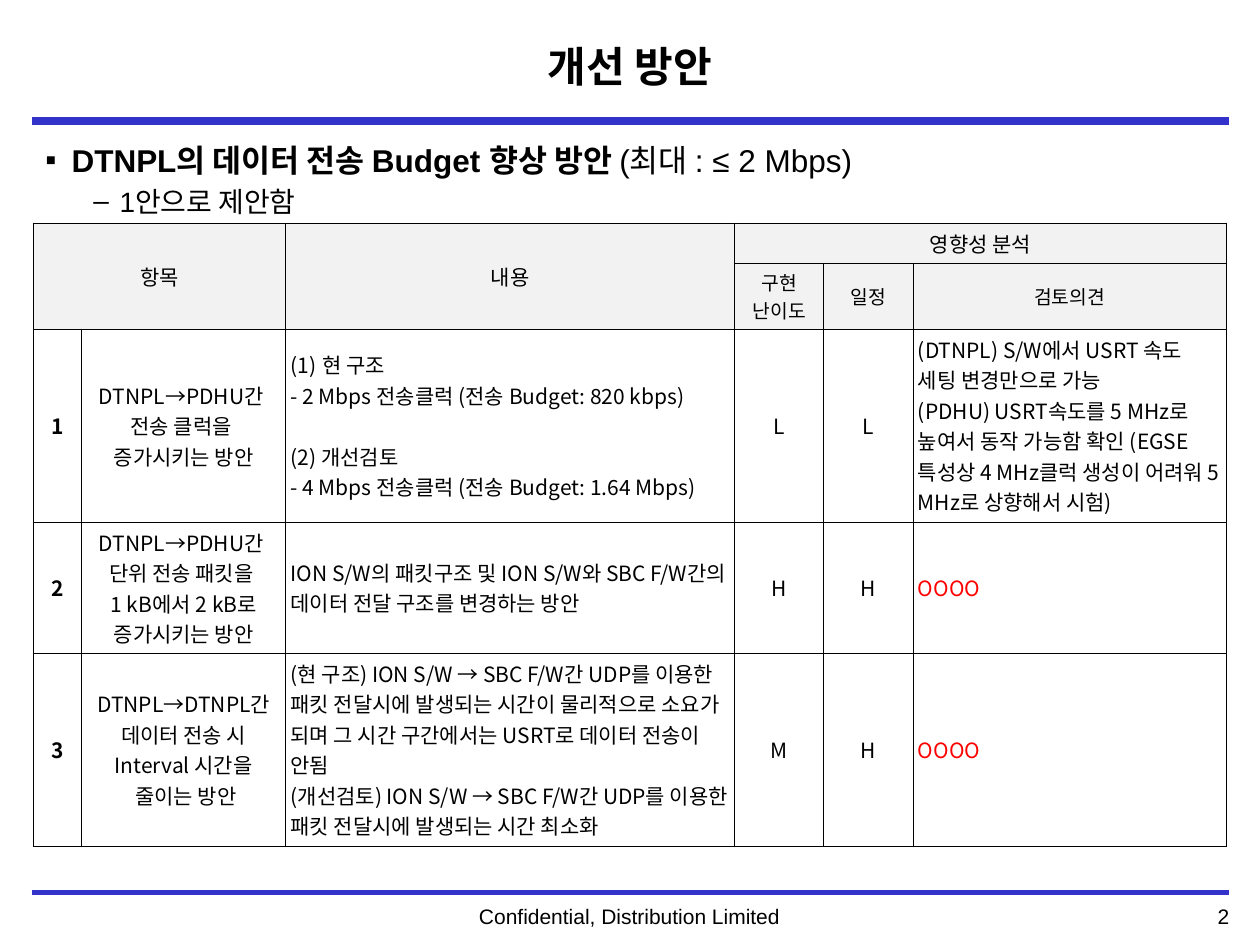
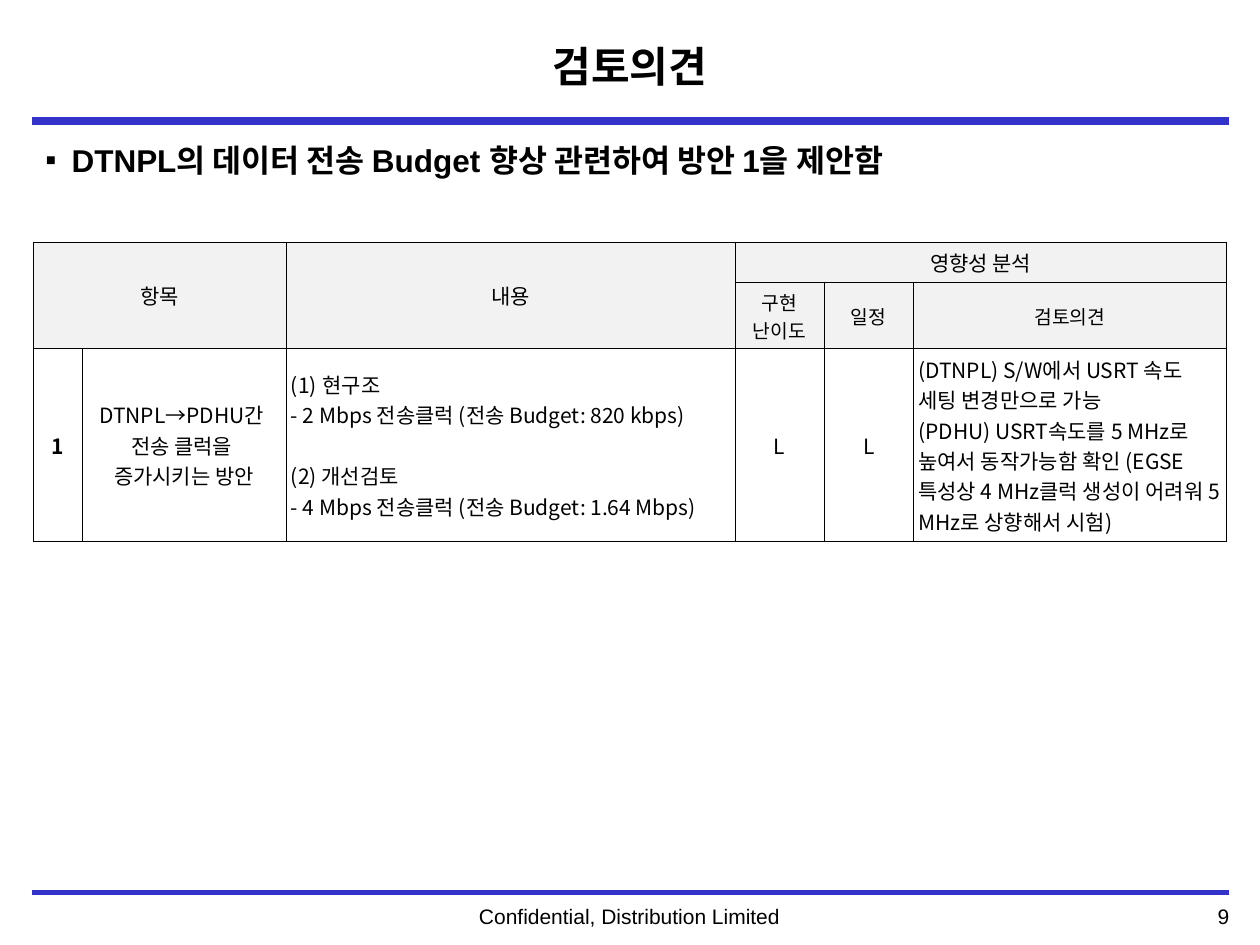
"""Builds two slides on improving the data transfer budget, each with a review table."""
from lxml import etree
from pptx import Presentation
from pptx.dml.color import RGBColor
from pptx.enum import shapes, text
from pptx.oxml.ns import qn
from pptx.util import Pt

BLUE = RGBColor(0x33, 0x33, 0xCC)
BLACK = RGBColor(0, 0, 0)
RED = RGBColor(0xFF, 0, 0)
GREY = RGBColor(0xF2, 0xF2, 0xF2)
LATIN, KOREAN = "Arial", "Noto Sans CJK KR"
LEFT, CENTER, RIGHT = text.PP_ALIGN.LEFT, text.PP_ALIGN.CENTER, text.PP_ALIGN.RIGHT

FOOTER = "Confidential, Distribution Limited"
RULES = [(69.1, 4.5), (509.8, 2), (510.5, 2)]
BULLETS = [("▪", 15), ("–", 42.5)]
HANG = 15
COL_WIDTHS = [27.7, 116.6, 256.5, 51, 51, 178.9]
CENTERED_COLS = {0, 1, 3, 4}
HEADER_HEIGHTS = [23, 37.6]
HEADERS = [
    ["항목", "", "내용", "영향성 분석", "", ""],
    ["", "", "", "구현\n난이도", "일정", "검토의견"],
]
MERGES = [((0, 0), (1, 1)), ((0, 2), (1, 2)), ((0, 3), (0, 5))]
NUMBERED, GAP_BEFORE = "(1) ", "(2)"


def clock_row(structure, works):
    """Return the row on a faster transfer clock."""
    return ["1", "DTNPL→PDHU간 \n전송 클럭을 \n증가시키는 방안",
            f"(1) {structure}\n- 2 Mbps 전송클럭 (전송 Budget: 820 kbps)\n"
            "(2) 개선검토\n- 4 Mbps 전송클럭 (전송 Budget: 1.64 Mbps)",
            "L", "L",
            "(DTNPL) S/W에서 USRT 속도 세팅 변경만으로 가능\n"
            f"(PDHU) USRT속도를 5 MHz로 높여서 {works} 확인 "
            "(EGSE 특성상 4 MHz클럭 생성이 어려워 5 MHz로 상향해서 시험)"]


PACKET_ROW = ["2", "DTNPL→PDHU간 \n단위 전송 패킷을 \n1 kB에서 2 kB로\n증가시키는 방안",
              "ION S/W의 패킷구조 및 ION S/W와 SBC F/W간의 데이터 전달 구조를 변경하는 방안",
              "H", "H", "OOOO"]
INTERVAL_ROW = ["3", "DTNPL→DTNPL간\n데이터 전송 시\nInterval 시간을\n 줄이는 방안",
                "(현 구조) ION S/W → SBC F/W간 UDP를 이용한 패킷 전달시에 발생되는 시간이 "
                "물리적으로 소요가 되며 그 시간 구간에서는 USRT로 데이터 전송이 안됨\n"
                "(개선검토) ION S/W → SBC F/W간 UDP를 이용한 패킷 전달시에 발생되는 시간 최소화",
                "M", "H", "OOOO"]

SLIDES = [
    {"title": "개선 방안", "number": "2", "body_width": 682.5,
     "bullets": [(0, [("DTNPL의 데이터 전송 Budget 향상 방안 ", 18, True),
                      ("(최대 : ≤ 2 Mbps)", 18, False)]),
                 (1, [("1안으로 제안함", 16, False)])],
     "table_at": (19, 127.4),
     "rows": [clock_row("현 구조", "동작 가능함"), PACKET_ROW, INTERVAL_ROW],
     "heights": [110.3, 74.9, 110.3]},
    {"title": "검토의견", "number": "9", "body_width": 689,
     "bullets": [(0, [("DTNPL의 데이터 전송 Budget 향상 관련하여 방안 1을 제안함", 18, True)])],
     "table_at": (19.2, 138.6),
     "rows": [clock_row("현구조", "동작가능함")],
     "heights": [110.3]},
]


def style(r, size, bold=False, color=BLACK, font=LATIN):
    """Format a run for Latin and Korean text."""
    r.font.size, r.font.bold, r.font.name = Pt(size), bold, font
    r.font.color.rgb = color
    etree.SubElement(r.font._element, qn("a:ea"), typeface=KOREAN)


def place(sp, left, top, width, height):
    """Move and size a shape."""
    sp.left, sp.top, sp.width, sp.height = map(Pt, (left, top, width, height))


def hang(p, left, indent, tag, **marker):
    """Give a paragraph a hanging bullet or number."""
    pPr = p._p.get_or_add_pPr()
    pPr.set("marL", str(Pt(left)))
    pPr.set("indent", str(-Pt(indent)))
    etree.SubElement(pPr, qn(tag), **marker)


def add_frame(s, number):
    """Draw the rules and the footer."""
    for y, weight in RULES:
        line = s.shapes.add_connector(shapes.MSO_CONNECTOR.STRAIGHT, Pt(18), Pt(y), Pt(702), Pt(y))
        line.line.color.rgb, line.line.width = BLUE, Pt(weight)
        etree.SubElement(line._element.spPr, qn("a:effectLst"))
    for words, left, width, align in [(number, 592.5, 117, RIGHT), (FOOTER, 176.5, 366.5, CENTER)]:
        sp = s.shapes.add_textbox(Pt(left), Pt(512.6), Pt(width), Pt(21.6))
        tf = sp.text_frame
        tf.word_wrap, tf.text = True, words
        p = tf.paragraphs[0]
        p.alignment = align
        style(p.runs[0], 12)


def add_heading(s, title, bullets, body_width):
    """Fill the title and body placeholders."""
    sp = s.shapes.title
    place(sp, 96, 10, 528, 55.5)
    tf = sp.text_frame
    tf.text, tf.vertical_anchor = title, text.MSO_ANCHOR.MIDDLE
    tf.paragraphs[0].alignment = CENTER
    style(tf.paragraphs[0].runs[0], 24, True)

    body = s.placeholders[1]
    place(body, 18.7, 77, body_width, 427.7)
    tf = body.text_frame
    tf.auto_size = text.MSO_AUTO_SIZE.NONE
    for i, (level, parts) in enumerate(bullets):
        p = tf.add_paragraph() if i else tf.paragraphs[0]
        p.level = level
        for words, size, bold in parts:
            r = p.add_run()
            r.text = words
            style(r, size, bold)
        char, left = BULLETS[level]
        hang(p, left, HANG, "a:buChar", char=char)


def add_borders(cell):
    """Draw thin black lines around a cell."""
    tcPr = cell._tc.get_or_add_tcPr()
    for i, side in enumerate("LRTB"):
        ln = etree.Element(qn(f"a:ln{side}"), w=str(Pt(0.5)))
        fill = etree.SubElement(ln, qn("a:solidFill"))
        etree.SubElement(fill, qn("a:srgbClr"), val=str(BLACK))
        tcPr.insert(i, ln)


def fill_cell(cell, words, row, col):
    """Write and format one table cell."""
    header = row < len(HEADERS)
    cell.margin_left = cell.margin_right = cell.margin_top = cell.margin_bottom = Pt(2.83)
    cell.vertical_anchor = text.MSO_ANCHOR.MIDDLE
    if header:
        cell.fill.solid()
        cell.fill.fore_color.rgb = GREY
    else:
        cell.fill.background()
    add_borders(cell)
    if not words:
        return
    cell.text_frame.text = words
    for p in cell.text_frame.paragraphs:
        p.alignment = CENTER if header or col in CENTERED_COLS else LEFT
        if p.text.startswith(NUMBERED):
            p.text = p.text.removeprefix(NUMBERED)
            hang(p, 18, 18, "a:buAutoNum", type="arabicParenBoth")
        elif p.text.startswith(GAP_BEFORE):
            p.space_before = Pt(17.4)
        for r in p.runs:
            style(r, 11 if row == 1 else 12, not header and col == 0,
                  RED if words == "OOOO" else BLACK, KOREAN)


def add_review(s, at, rows, heights):
    """Add the review table."""
    grid, heights = HEADERS + rows, HEADER_HEIGHTS + heights
    box = map(Pt, (*at, sum(COL_WIDTHS), sum(heights)))
    table = s.shapes.add_table(len(grid), len(COL_WIDTHS), *box).table
    table.first_row = table.horz_banding = False
    for column, width in zip(table.columns, COL_WIDTHS):
        column.width = Pt(width)
    for row, height in zip(table.rows, heights):
        row.height = Pt(height)
    for i, row in enumerate(grid):
        for j, words in enumerate(row):
            fill_cell(table.cell(i, j), words, i, j)
    for start, end in MERGES:
        table.cell(*start).merge(table.cell(*end))


def main():
    """Build and save the slides."""
    prs = Presentation()
    prs.slide_width, prs.slide_height = Pt(720), Pt(540)
    for content in SLIDES:
        s = prs.slides.add_slide(prs.slide_layouts[1])
        add_frame(s, content["number"])
        add_heading(s, content["title"], content["bullets"], content["body_width"])
        add_review(s, content["table_at"], content["rows"], content["heights"])
    prs.save("out.pptx")


if __name__ == "__main__":
    main()
